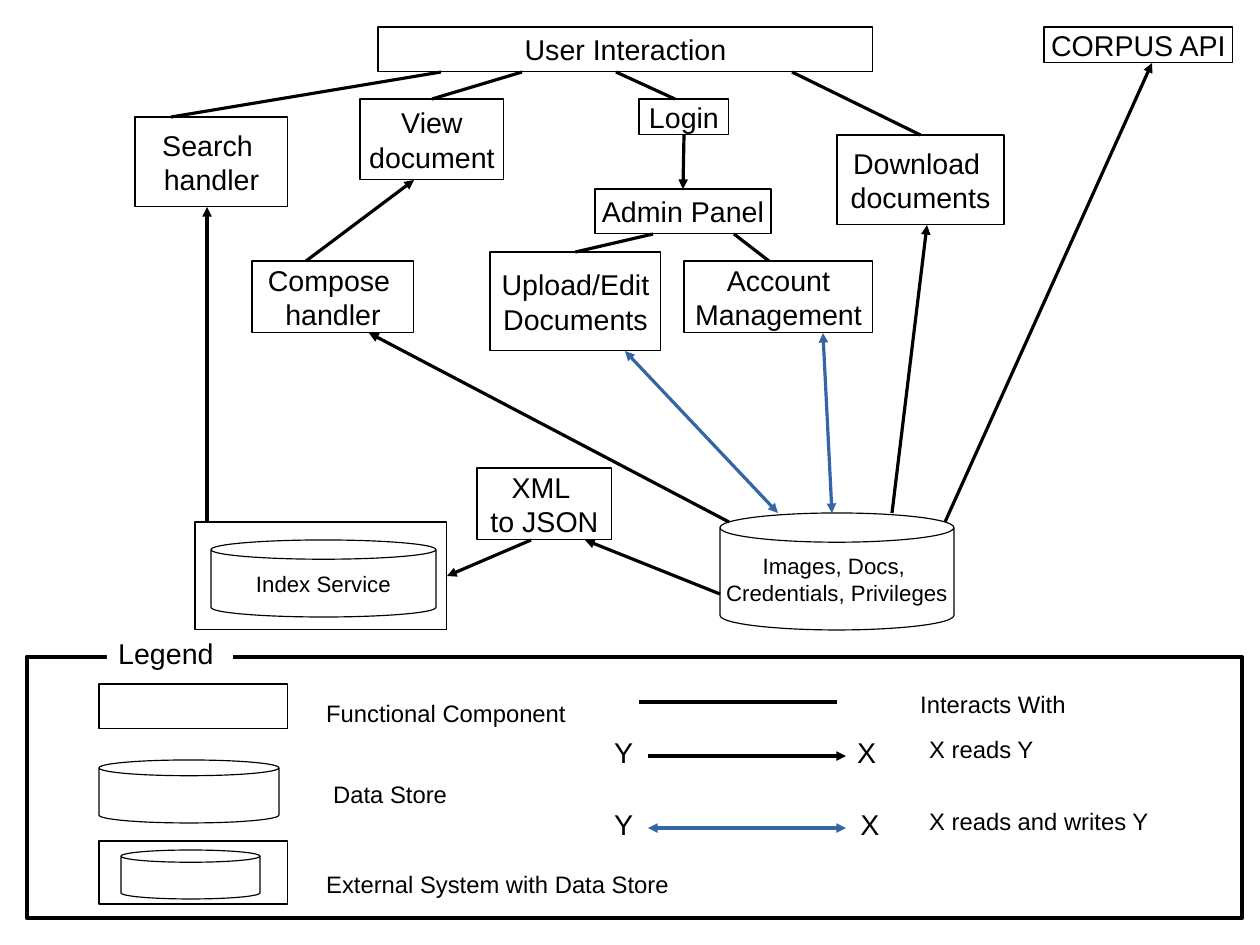
import pptx
import pptx.dml.color
import pptx.enum.shapes
import pptx.enum.text
import pptx.oxml.ns
import pptx.util
from lxml import etree

PX = 8000  # EMU per px
BLACK, WHITE, BLUE = "000000", "FFFFFF", "3465A4"
TOP, LEFT, BOTTOM, RIGHT = range(4)
RECTANGLE = pptx.enum.shapes.MSO_SHAPE.RECTANGLE
CAN = pptx.enum.shapes.MSO_SHAPE.CAN

# name: (lines of text, (left, top, width, height))
COMPONENTS = {
    "user": (["User Interaction"], (378, 27, 495, 45)),
    "api": (["CORPUS API"], (1044, 27, 189, 36)),
    "search": (["Search ", "handler"], (135, 117, 153, 90)),
    "view": (["View", "document"], (360, 99, 144, 81)),
    "login": (["Login"], (639, 99, 90, 36)),
    "download": (["Download ", "documents"], (837, 135, 167, 90)),
    "admin": (["Admin Panel"], (595, 189, 176, 45)),
    "compose": (["Compose ", "handler"], (252, 261, 162, 72)),
    "upload": (["Upload/Edit", "Documents"], (490, 252, 171, 99)),
    "account": (["Account", "Management"], (684, 261, 189, 72)),
    "xml": (["XML ", "to JSON"], (477, 468, 135, 72)),
    "index": ([], (195, 522, 252, 108)),
    "legend component": ([], (99, 684, 189, 45)),
    "legend external": ([], (99, 841, 189, 63)),
}
STORES = [
    (["Images, Docs, ", "Credentials, Privileges"], (720, 513, 234, 117)),
    (["Index Service"], (211, 540, 225, 77)),
    ([], (99, 760, 180, 63)),
    ([], (121, 850, 139, 49)),
]
# each end is a point or a (component, side) pair
INTERACTS = [
    ((441, 72), (171, 117)),
    ((522, 72), ("view", TOP)),
    ((616, 72), (675, 99)),
    ((792, 72), ("download", TOP)),
    ((653, 234), ("upload", TOP)),
    ((734, 234), (769, 261)),
    ((639, 702), (837, 702)),
]
READS = [
    (("login", BOTTOM), ("admin", TOP)),
    ((207, 522), (207, 207)),
    ((306, 261), (414, 180)),
    ((729, 522), (369, 333)),
    ((720, 594), (585, 540)),
    ((531, 540), ("index", RIGHT)),
    ((892, 513), (927, 225)),
    ((945, 522), (1152, 63)),
    ((648, 756), (846, 756)),
]
READS_AND_WRITES = [
    ((778, 513), (625, 351)),
    ((832, 513), (823, 333)),
    ((648, 828), (846, 828)),
]
LEGEND_FRAME = (27, 657, 1215, 261)
LEGEND_TITLE = ("Legend", (107, 630, 126, 43))
# text, left, top, width, size
LABELS = [
    ("Functional Component", 315, 693, 297, 15),
    ("Data Store", 322, 774, 153, 15),
    ("External System with Data Store", 315, 864, 378, 15),
    ("Interacts With", 909, 684, 297, 15),
    ("X reads Y", 918, 729, 198, 15),
    ("X reads and writes Y", 918, 801, 251, 15),
    ("Y", 603, 729, 41, 18),
    ("X", 846, 729, 41, 18),
    ("Y", 603, 801, 41, 18),
    ("X", 849, 801, 41, 18),
]
LABEL_HEIGHT = 45


def color(value):
    return pptx.dml.color.RGBColor.from_string(value)


def scaled(lengths):
    return [length * PX for length in lengths]


def write(box, lines, size=18, centered=True, wrap=False):
    frame = box.text_frame
    frame.word_wrap = wrap
    if centered:
        frame.vertical_anchor = pptx.enum.text.MSO_ANCHOR.MIDDLE
    else:
        frame.vertical_anchor = pptx.enum.text.MSO_ANCHOR.TOP
    for number, line in enumerate(lines):
        para = frame.add_paragraph() if number else frame.paragraphs[0]
        align = pptx.enum.text.PP_ALIGN
        para.alignment = align.CENTER if centered else align.LEFT
        span = para.add_run()
        span.text = line
        span.font.size = pptx.util.Pt(size)
        span.font.name = "Arial"
        span.font.color.rgb = color(BLACK)


def add_box(page, kind, area, fill=None, line=BLACK, width=0):
    box = page.shapes.add_shape(kind, *scaled(area))
    box.shadow.inherit = False
    if fill:
        box.fill.solid()
        box.fill.fore_color.rgb = color(fill)
    else:
        box.fill.background()
    if line:
        box.line.color.rgb = color(line)
        box.line.width = pptx.util.Pt(width)
    else:
        box.line.fill.background()
    return box


def add_link(page, boxes, start, end, line=BLACK, arrows=()):
    """Join two ends; arrows lists the tags of the ends with a triangle."""
    points = [(0, 0) if place[0] in boxes else place for place in (start, end)]
    link = page.shapes.add_connector(
        pptx.enum.shapes.MSO_CONNECTOR.STRAIGHT, *scaled(points[0] + points[1]))
    if start[0] in boxes:
        link.begin_connect(boxes[start[0]], start[1])
    if end[0] in boxes:
        link.end_connect(boxes[end[0]], end[1])
    link.line.color.rgb = color(line)
    link.line.width = pptx.util.Pt(0)
    properties = link._element.spPr
    outline = properties.find(pptx.oxml.ns.qn("a:ln"))
    for tag in arrows:
        etree.SubElement(outline, pptx.oxml.ns.qn(tag), type="triangle")
    etree.SubElement(properties, pptx.oxml.ns.qn("a:effectLst"))


def main():
    deck = pptx.Presentation()
    deck.slide_width, deck.slide_height = scaled((1260, 945))
    page = deck.slides.add_slide(deck.slide_layouts[6])

    add_box(page, RECTANGLE, LEGEND_FRAME, width=3)
    title, area = LEGEND_TITLE
    write(add_box(page, RECTANGLE, area, fill=WHITE, line=None), [title],
          centered=False, wrap=True)

    boxes = {}
    for name, (lines, area) in COMPONENTS.items():
        boxes[name] = add_box(page, RECTANGLE, area)
        write(boxes[name], lines)
    for lines, area in STORES:
        write(add_box(page, CAN, area, fill=WHITE), lines, size=14)

    for links, line, arrows in (
        (INTERACTS, BLACK, ()),
        (READS, BLACK, ("a:tailEnd",)),
        (READS_AND_WRITES, BLUE, ("a:headEnd", "a:tailEnd")),
    ):
        for start, end in links:
            add_link(page, boxes, start, end, line=line, arrows=arrows)

    for text, left, top, width, size in LABELS:
        label = page.shapes.add_textbox(*scaled((left, top, width, LABEL_HEIGHT)))
        write(label, [text], size=size, centered=False, wrap=True)

    deck.save("out.pptx")


if __name__ == "__main__":
    main()
